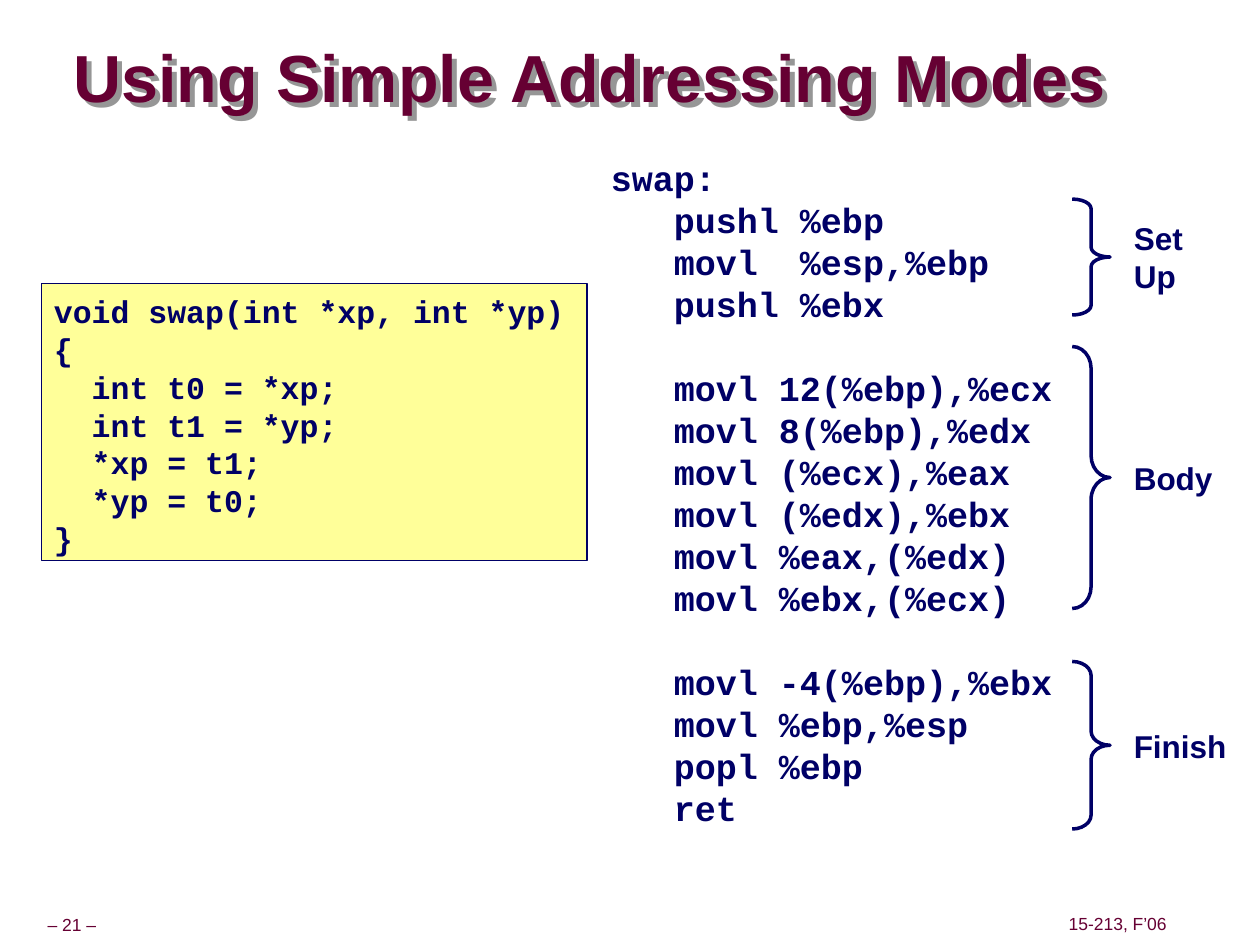
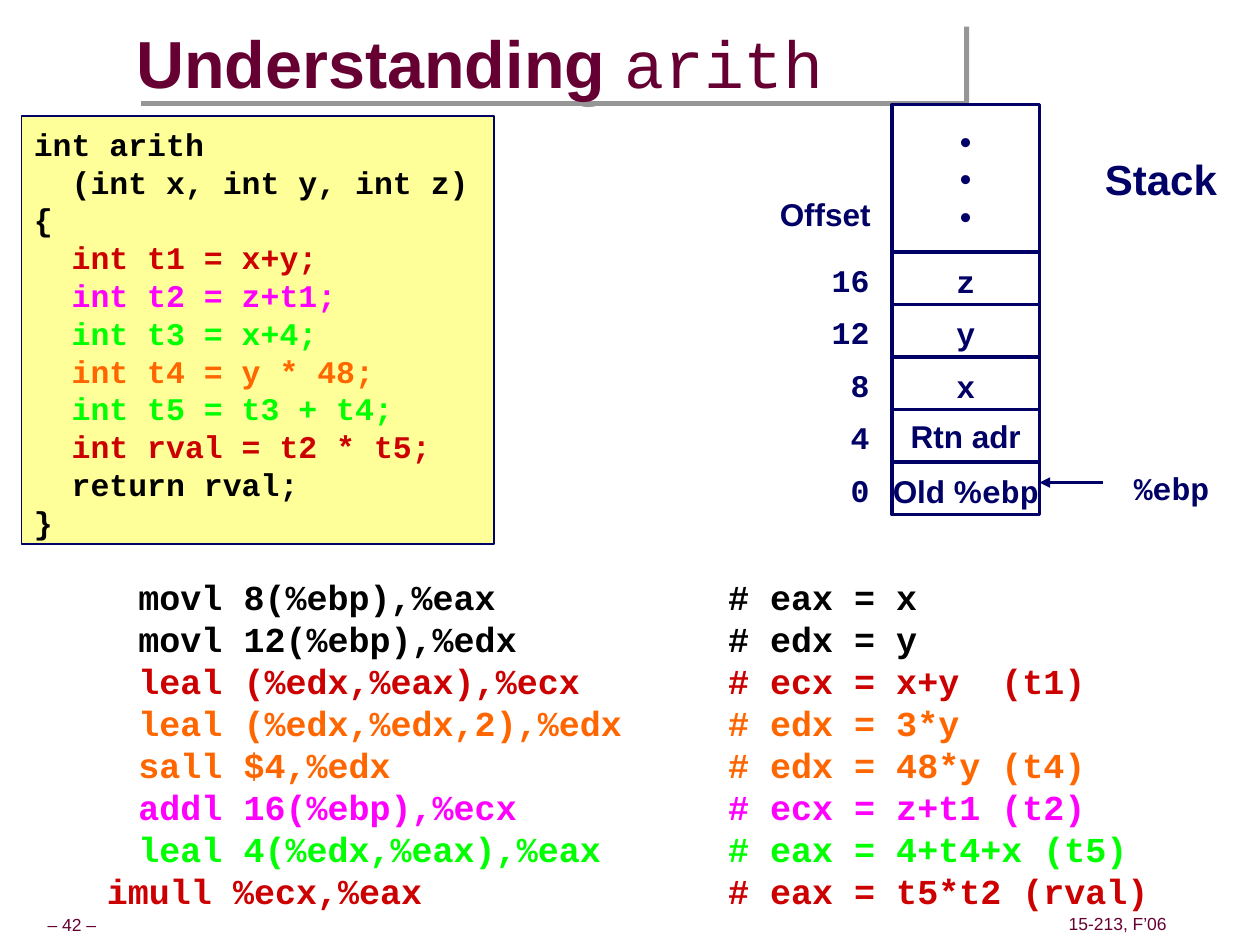
from lxml import etree
from pptx import Presentation
from pptx.dml.color import RGBColor
from pptx.enum.shapes import MSO_CONNECTOR, MSO_SHAPE
from pptx.enum.text import MSO_ANCHOR, MSO_AUTO_SIZE, PP_ALIGN
from pptx.oxml.ns import qn
from pptx.util import Inches, Pt

RECTANGLE, RIGHT_BRACE = MSO_SHAPE.RECTANGLE, MSO_SHAPE.RIGHT_BRACE
STRAIGHT = MSO_CONNECTOR.STRAIGHT
TOP, MIDDLE = MSO_ANCHOR.TOP, MSO_ANCHOR.MIDDLE
LEFT, CENTER, RIGHT = PP_ALIGN.LEFT, PP_ALIGN.CENTER, PP_ALIGN.RIGHT
NO_AUTOFIT = MSO_AUTO_SIZE.NONE
SANS, MONO = "Arial", "Courier New"
MAROON, NAVY, YELLOW, WHITE, GRAY = "660033", "000066", "FFFF99", "FFFFFF", "969696"
BLACK, RED, PINK, GREEN, ORANGE = "000000", "CC0000", "FF00FF", "00FF00", "FF6600"


def color(value):
    return RGBColor.from_string(value)


def write(box, lines, size=18, font=SANS, ink=NAVY, bold=True, align=LEFT,
          anchor=TOP, wrap=False, leading=1.2, tabs=()):
    frame = box.text_frame
    frame.auto_size = NO_AUTOFIT
    frame.word_wrap = wrap
    frame.vertical_anchor = anchor
    frame.margin_left = frame.margin_right = Inches(0.1)
    frame.margin_bottom = Inches(0.05)
    drop = 0 if font == SANS else 0.02 if anchor == TOP else 0.04
    frame.margin_top = Inches(0.05 + drop)
    for index, line in enumerate(lines):
        text, line_ink = line if isinstance(line, tuple) else (line, ink)
        para = frame.paragraphs[0] if index == 0 else frame.add_paragraph()
        para.text = text
        para.alignment = align
        para.line_spacing = Pt(round(size * leading, 1))
        if tabs:
            stops = etree.SubElement(para._p.get_or_add_pPr(), qn("a:tabLst"))
            for stop in tabs:
                etree.SubElement(stops, qn("a:tab"), pos=str(Inches(stop)), algn="l")
        for span in para.runs:
            span.font.size = Pt(size)
            span.font.name = font
            span.font.bold = bold
            span.font.color.rgb = color(line_ink)
    return frame


deck = Presentation()
deck.slide_width, deck.slide_height = Inches(10), Inches(7.5)

source_codes = [
    (0.33, 2.25, 4.33, 2.2, [
        "void swap(int *xp, int *yp)", "{", "  int t0 = *xp;", "  int t1 = *yp;",
        "  *xp = t1;", "  *yp = t0;", "}"]),
    (0.17, 0.92, 3.75, 3.4, [
        ("int arith", BLACK), ("  (int x, int y, int z)", BLACK), ("{", BLACK),
        ("  int t1 = x+y;", RED), ("  int t2 = z+t1;", PINK),
        ("  int t3 = x+4;", GREEN), ("  int t4 = y * 48;", ORANGE),
        ("  int t5 = t3 + t4;", GREEN), ("  int rval = t2 * t5;", RED),
        ("  return rval;", BLACK), ("}", BLACK)]),
]
headings = [
    ("Using Simple Addressing Modes", 0.58, 0.33, 8.37, "– 21 –"),
    ("Understanding ", 1.08, 0.17, 6.57, "– 42 –"),
]

pages = []
for (heading, left, top, width, number), source in zip(headings, source_codes):
    page = deck.slides.add_slide(deck.slide_layouts[5])
    pages.append(page)
    title = page.shapes.title
    title.left, title.top = Inches(left), Inches(top)
    title.width, title.height = Inches(width), Inches(0.63)
    title.fill.background()
    frame = write(title, [heading], 38, ink=MAROON, anchor=MIDDLE, wrap=True, leading=1.04)
    frame.margin_left = frame.margin_right = frame.margin_top = frame.margin_bottom = 0

    for text, x, y, w in [(number, 0.09, 7.22, 0.96), ("15-213, F’06", 8.43, 7.21, 0.88)]:
        footer = page.shapes.add_textbox(Inches(x), Inches(y), Inches(w), Inches(0.25))
        write(footer, [text], 10, ink=MAROON, bold=False, align=CENTER,
              anchor=MIDDLE, leading=1.08)

    x, y, w, h, lines = source
    code = page.shapes.add_shape(RECTANGLE, Inches(x), Inches(y), Inches(w), Inches(h))
    code.shadow.inherit = False
    code.fill.solid()
    code.fill.fore_color.rgb = color(YELLOW)
    code.line.color.rgb = color(NAVY)
    code.line.width = Pt(1)
    write(code, lines, font=MONO, wrap=True)

swap_page, arith_page = pages

arith_title = arith_page.shapes.title
arith_title.fill.solid()
arith_title.fill.fore_color.rgb = color(WHITE)
arith_title.text_frame.margin_top = Inches(0.09)
span = arith_title.text_frame.paragraphs[0].add_run()
span.text = "arith"
span.font.name, span.font.size, span.font.bold = MONO, Pt(38), False
span.font.color.rgb = color(MAROON)

for page in pages:
    effects = etree.SubElement(page.shapes.title.element.spPr, qn("a:effectLst"))
    shadow = etree.SubElement(effects, qn("a:outerShdw"), dist=str(Pt(4.2)),
                              dir="2700000", algn="ctr", rotWithShape="0")
    etree.SubElement(shadow, qn("a:srgbClr"), val=GRAY)

swap_assembly = [
    "swap:", "\tpushl %ebp", "\tmovl  %esp,%ebp", "\tpushl %ebx",
    "\tmovl 12(%ebp),%ecx", "\tmovl 8(%ebp),%edx", "\tmovl (%ecx),%eax",
    "\tmovl (%edx),%ebx", "\tmovl %eax,(%edx)", "\tmovl %ebx,(%ecx)",
    "\tmovl -4(%ebp),%ebx", "\tmovl %ebp,%esp", "\tpopl %ebp", "\tret",
]
assembly = swap_page.shapes.add_textbox(Inches(4.75), Inches(1.17), Inches(4), Inches(5.43))
frame = write(assembly, swap_assembly, 20, MONO, wrap=True, tabs=(0.5,))
for first_line in (4, 10):
    frame.paragraphs[first_line].space_before = Pt(24)

brace_width = 0.3
for lines, top, height, label_top, label_width in [
    (["Set", "Up"], 1.58, 0.92, 1.69, 0.59),
    (["Body"], 2.75, 2.08, 3.59, 0.82),
    (["Finish"], 5.25, 1.33, 5.72, 0.93),
]:
    brace = swap_page.shapes.add_shape(
        RIGHT_BRACE, Inches(8.51), Inches(top), Inches(brace_width), Inches(height))
    brace.adjustments[0] = height / 12 / brace_width
    brace.shadow.inherit = False
    brace.fill.background()
    brace.line.color.rgb = color(NAVY)
    brace.line.width = Pt(2)
    label = swap_page.shapes.add_textbox(
        Inches(8.9), Inches(label_top), Inches(label_width), Inches(0.1 + 0.3 * len(lines)))
    write(label, lines)

arith_assembly = [
    ("\tmovl 8(%ebp),%eax\t# eax = x", BLACK),
    ("\tmovl 12(%ebp),%edx\t# edx = y", BLACK),
    ("\tleal (%edx,%eax),%ecx\t# ecx = x+y  (t1)", RED),
    ("\tleal (%edx,%edx,2),%edx\t# edx = 3*y", ORANGE),
    ("\tsall $4,%edx\t# edx = 48*y (t4)", ORANGE),
    ("\taddl 16(%ebp),%ecx\t# ecx = z+t1 (t2)", PINK),
    ("\tleal 4(%edx,%eax),%eax\t# eax = 4+t4+x (t5)", GREEN),
    ("imull %ecx,%eax\t# eax = t5*t2 (rval)", RED),
]
assembly = arith_page.shapes.add_textbox(Inches(0.75), Inches(4.5), Inches(8.75), Inches(2.76))
write(assembly, arith_assembly, 20, MONO, wrap=True, tabs=(0.25, 4.93))

row_height = 5 / 12
stack_rows = [(["•"] * 3, SANS, 0.83, 1.17)]
for row, (text, font) in enumerate(
        [("z", MONO), ("y", MONO), ("x", MONO), ("Rtn adr", SANS), ("Old %", SANS)]):
    top = 2 + row * row_height
    stack_rows.append(([text], font, top, row_height))
    offset = arith_page.shapes.add_textbox(Inches(6.5), Inches(top), Inches(0.5), Inches(0.4))
    write(offset, [str(16 - 4 * row)], font=MONO, align=RIGHT)

for lines, font, top, height in stack_rows:
    cell = arith_page.shapes.add_shape(
        RECTANGLE, Inches(7.08), Inches(top), Inches(1.17), Inches(height))
    cell.shadow.inherit = False
    cell.fill.solid()
    cell.fill.fore_color.rgb = color(WHITE)
    cell.line.color.rgb = color(NAVY)
    cell.line.width = Pt(2)
    write(cell, lines, font=font, align=CENTER, anchor=MIDDLE)

span = cell.text_frame.paragraphs[0].add_run()
span.text = "ebp"
span.font.name, span.font.size, span.font.bold = MONO, Pt(18), True
span.font.color.rgb = color(NAVY)
cell.text_frame.margin_top = Inches(0.09)

for text, size, font, x, y, w, h in [
    ("Offset", 18, SANS, 6.09, 1.5, 0.92, 0.4),
    ("Stack", 24, SANS, 8.67, 1.17, 1.09, 0.5),
    ("%ebp", 18, MONO, 8.9, 3.65, 0.8, 0.4),
]:
    label = arith_page.shapes.add_textbox(Inches(x), Inches(y), Inches(w), Inches(h))
    write(label, [text], size, font)

pointer = arith_page.shapes.add_connector(
    STRAIGHT, Inches(8.75), Inches(3.83), Inches(8.25), Inches(3.83))
pointer.line.color.rgb = color(NAVY)
pointer.line.width = Pt(2)
pointer_properties = pointer.element.spPr
etree.SubElement(pointer_properties.find(qn("a:ln")), qn("a:tailEnd"), type="triangle")
etree.SubElement(pointer_properties, qn("a:effectLst"))

deck.save("out.pptx")
